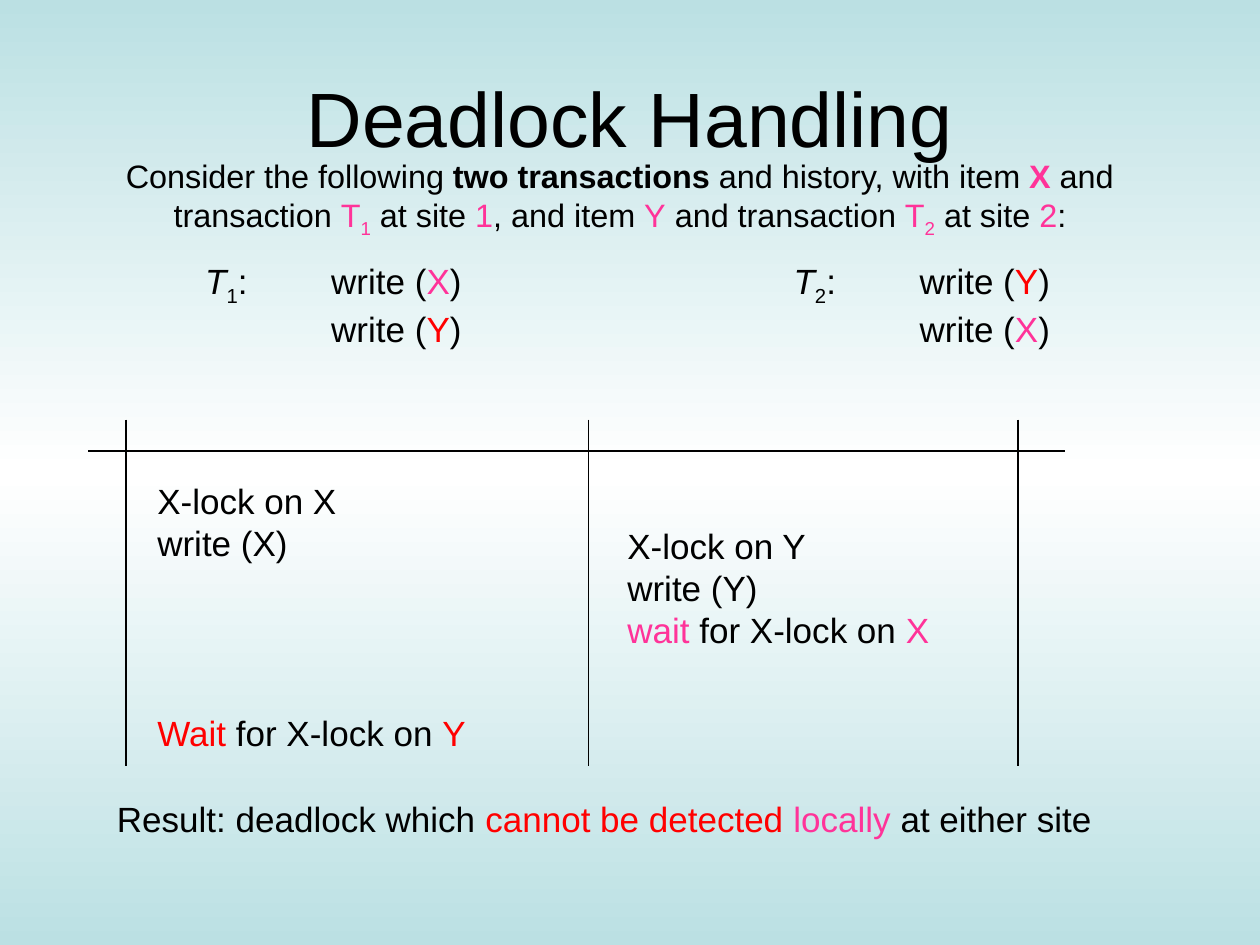
from copy import deepcopy
from dataclasses import dataclass

from lxml import etree
from pptx import Presentation
from pptx.dml.color import RGBColor
from pptx.enum.shapes import MSO_CONNECTOR
from pptx.enum.text import MSO_ANCHOR, PP_ALIGN
from pptx.oxml.ns import qn
from pptx.util import Inches, Pt

STRAIGHT = MSO_CONNECTOR.STRAIGHT
MIDDLE = MSO_ANCHOR.MIDDLE
CENTER = PP_ALIGN.CENTER


@dataclass(frozen=True)
class Theme:
    font: str = "Arial"
    ink: str = "000000"
    pink: str = "FF3399"
    red: str = "FF0000"
    edge: str = "BBE0E3"
    centre: str = "FFFFFF"
    title_size: float = 44
    intro_size: float = 18.5
    text_size: float = 20
    rule_width: float = 0.75


THEME = Theme()

# A run is plain text or (text, marks); marks are separated by blanks.
TITLE = "Deadlock Handling"
INTRO = [[
    "Consider the following ", ("two transactions", "bold"),
    " and history, with item ", ("X", "pink bold"), " and transaction ",
    ("T", "pink"), ("1", "pink sub"), " at site ", ("1", "pink"),
    ", and item ", ("Y", "pink"), " and transaction ",
    ("T", "pink"), ("2", "pink sub"), " at site ", ("2", "pink"), ":",
]]
ITEM_X, ITEM_Y = ("X", "pink"), ("Y", "red")
TRANSACTIONS = [
    # number, left, items in the order they are written
    ("1", 1.53, (ITEM_X, ITEM_Y)),
    ("2", 6.2, (ITEM_Y, ITEM_X)),
]
HISTORY = [
    # left, top, width, height, paragraphs
    (1.15, 3.76, 1.67, 0.77, [["X-lock on X"], ["write (X)"]]),
    (4.88, 4.11, 2.65, 1.1, [["X-lock on Y"], ["write (Y)"],
                             [("wait", "pink"), " for X-lock on ", ITEM_X]]),
    (1.15, 5.6, 2.71, 0.44, [[("Wait", "red"), " for X-lock on ", ITEM_Y]]),
]
RESULT = [["Result: deadlock which ", ("cannot be detected ", "red"),
           ("locally", "pink"), " at either site"]]

GRID_COLUMNS, GRID_TOP, GRID_BOTTOM = (1, 4.67, 8.08), 3.33, 6.08
HEADER_LEFT, HEADER_RIGHT, HEADER_Y = 0.7, 8.45, 3.58


def paint_background(slide):
    fill = slide.background.fill
    fill.gradient()
    fill.gradient_angle = 90
    stop_list = slide.element.find(".//" + qn("a:gsLst"))
    stop_list.append(deepcopy(stop_list[0]))
    colours = (THEME.edge, THEME.centre, THEME.edge)
    for index, (stop, colour) in enumerate(zip(fill.gradient_stops, colours)):
        stop.position = index / 2
        stop.color.rgb = RGBColor.from_string(colour)


def style_run(run, size, marks=""):
    marks = marks.split()
    colour = next((getattr(THEME, m) for m in marks if m in ("pink", "red")),
                  THEME.ink)
    font = run.font
    font.name, font.size = THEME.font, Pt(size)
    font.color.rgb = RGBColor.from_string(colour)
    if "bold" in marks:
        font.bold = True
    if "italic" in marks:
        font.italic = True
    if "sub" in marks:
        run._r.get_or_add_rPr().set("baseline", "-25000")


def add_text(slide, left, top, width, height, paragraphs,
             size=THEME.text_size, tab=None, hanging=None):
    box = slide.shapes.add_textbox(*map(Inches, (left, top, width, height)))
    frame = box.text_frame
    frame.word_wrap = True
    for index, runs in enumerate(paragraphs):
        paragraph = frame.add_paragraph() if index else frame.paragraphs[0]
        properties = paragraph._p.get_or_add_pPr()
        if hanging:
            properties.set("marL", str(Inches(hanging)))
            properties.set("indent", str(-Inches(hanging)))
        if tab:
            tabs = etree.SubElement(properties, qn("a:tabLst"))
            etree.SubElement(tabs, qn("a:tab"), pos=str(Inches(tab)), algn="l")
        for item in runs:
            text, marks = (item, "") if isinstance(item, str) else item
            run = paragraph.add_run()
            run.text = text
            style_run(run, size, marks)


def add_rule(slide, *ends):
    rule = slide.shapes.add_connector(STRAIGHT, *map(Inches, ends))
    rule.line.color.rgb = RGBColor.from_string(THEME.ink)
    rule.line.width = Pt(THEME.rule_width)
    etree.SubElement(rule._element.spPr, qn("a:effectLst"))


def add_title(slide):
    title = slide.shapes.title
    title.left, title.top = Inches(0.5), Inches(0.3)
    title.width, title.height = Inches(9), Inches(1.25)
    frame = title.text_frame
    frame.text = TITLE
    frame.vertical_anchor = MIDDLE
    frame.paragraphs[0].alignment = CENTER
    style_run(frame.paragraphs[0].runs[0], THEME.title_size)


def main():
    deck = Presentation()
    deck.slide_width, deck.slide_height = Inches(10), Inches(7.5)
    slide = deck.slides.add_slide(deck.slide_layouts[5])
    paint_background(slide)
    add_title(slide)

    add_text(slide, 0.9, 1.19, 8.66, 0.84, INTRO,
             THEME.intro_size, hanging=0.38)

    for number, left, (first, second) in TRANSACTIONS:
        steps = [
            [("T", "italic"), (number, "sub"), ":\twrite (", first, ")"],
            ["\twrite (", second, ")"],
        ]
        add_text(slide, left, 2.01, 2.3, 0.82, steps, tab=1)

    for x in GRID_COLUMNS:
        add_rule(slide, x, GRID_TOP, x, GRID_BOTTOM)
    add_rule(slide, HEADER_LEFT, HEADER_Y, HEADER_RIGHT, HEADER_Y)

    for entry in HISTORY:
        add_text(slide, *entry)
    add_text(slide, 0.83, 6.28, 8, 0.44, RESULT)

    deck.save("out.pptx")


if __name__ == "__main__":
    main()
